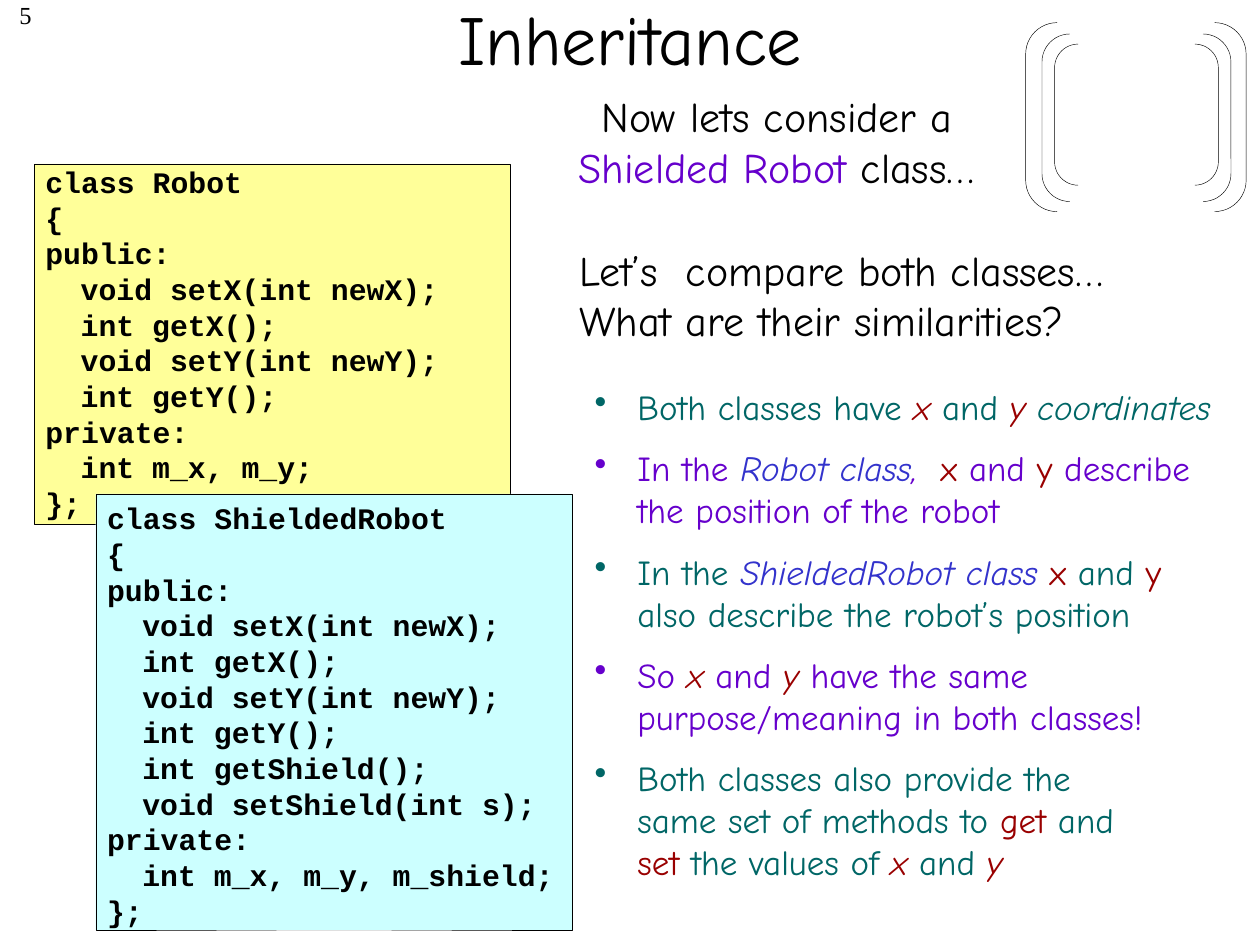
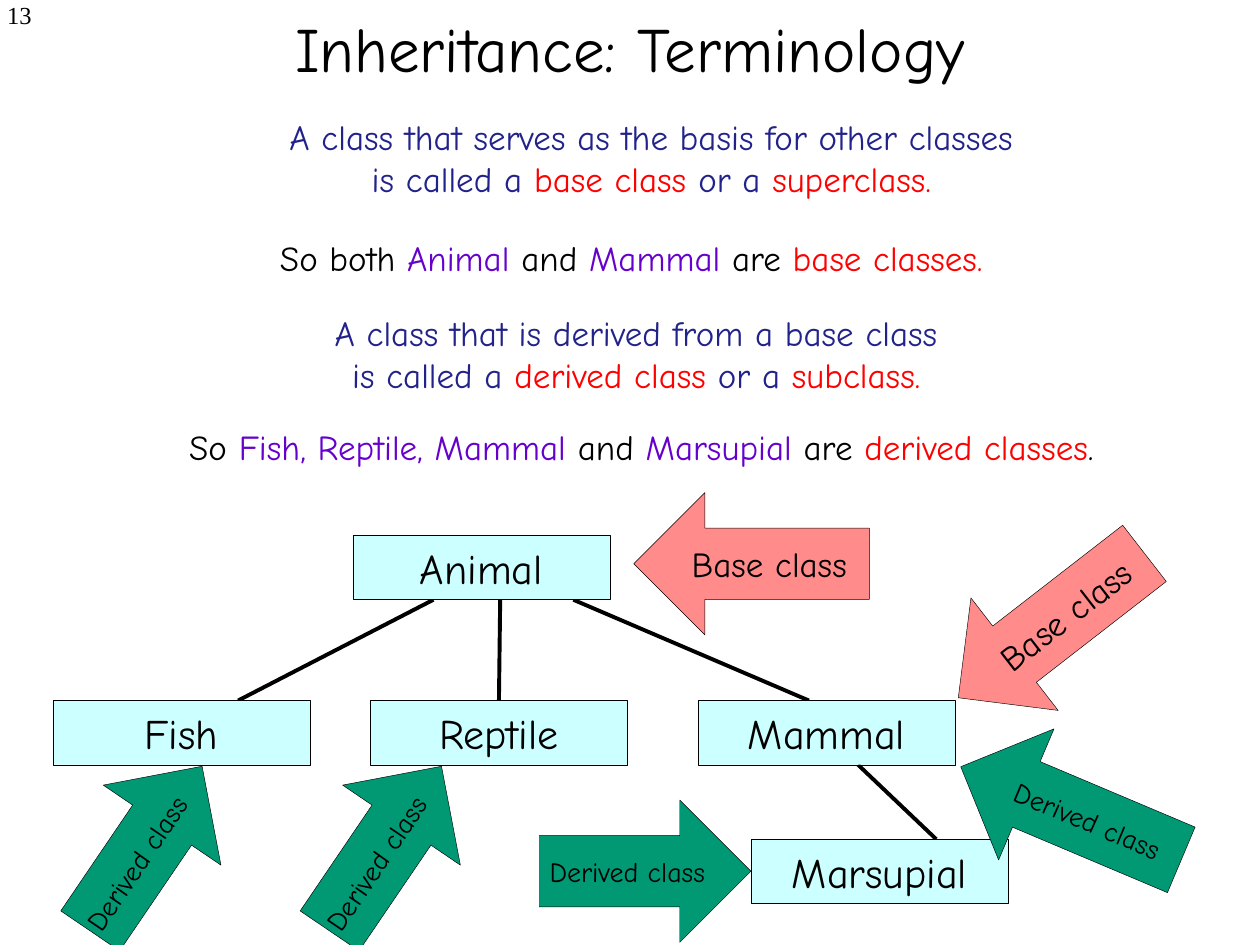
"""Build two slides on C++ inheritance: class comparison and terminology."""
from typing import NamedTuple

from lxml.etree import SubElement
from pptx import Presentation
from pptx.dml.color import RGBColor
from pptx.enum.shapes import MSO_CONNECTOR as Link, MSO_SHAPE as Form
from pptx.enum.text import MSO_ANCHOR as Anchor, MSO_AUTO_SIZE as Fit, PP_ALIGN as Align
from pptx.oxml.ns import qn
from pptx.util import Inches, Pt

COLORS = {
    "black": "000000", "purple": "6600CC", "teal": "006666", "maroon": "990000",
    "blue": "3333CC", "navy": "22228B", "red": "FF0000", "yellow": "FFFF99",
    "cyan": "CCFFFF", "pink": "FF8B8B", "green": "009973",
}
COMIC, MONO, SERIF = "Comic Neue", "Courier New", "Times New Roman"
BOX_W, BOX_H = 2.04, 0.51
BULLET_INDENT = 0.34
CODE_INDENT = 0.28


class Span(NamedTuple):
    text: str
    color: str = "black"
    italic: bool = False


class Area(NamedTuple):
    left: float
    top: float
    width: float
    height: float


class Arrow(NamedTuple):
    label: str
    area: Area
    form: Form
    rotation: float
    fill: str
    size: int


class Statement(NamedTuple):
    area: Area
    spans: list[Span]


class Code(NamedTuple):
    area: Area
    fill: str
    top_inset: float
    lines: list[str]


X, Y = Span("x", "maroon"), Span("y", "maroon")
X_IT, Y_IT = Span("x", "maroon", True), Span("y", "maroon", True)

ACCESSORS = ["  void setX(int newX);", "  int getX();", "  void setY(int newY);", "  int getY();"]
CODES = [
    Code(Area(0.27, 1.3, 3.78, 2.86), "yellow", 0,
         ["class Robot", "{", "public:", *ACCESSORS, "private:", "  int m_x, m_y;", "};"]),
    Code(Area(0.76, 3.92, 3.78, 3.46), "cyan", 0.05,
         ["class ShieldedRobot", "{", "public:", *ACCESSORS, "  int getShield();",
          "  void setShield(int s);", "private:", "  int m_x, m_y, m_shield;", "};"]),
]
SIMILARITIES = [
    [Span("Both classes have ", "teal"), X_IT, Span(" and ", "teal"), Y_IT,
     Span(" coordinates", "teal", True)],
    [Span("In the ", "purple"), Span("Robot class", "blue", True), Span(",  ", "purple", True),
     X, Span(" and ", "purple"), Y, Span(" describe\nthe position of the robot", "purple")],
    [Span("In the ", "teal"), Span("ShieldedRobot class ", "blue", True), X,
     Span(" and ", "teal"), Y, Span("\nalso describe the robot’s position", "teal")],
    [Span("So ", "purple"), X_IT, Span(" and ", "purple"), Y_IT,
     Span(" have the same\npurpose/meaning in both classes!", "purple")],
    [Span("Both classes also provide the\nsame set of methods to ", "teal"),
     Span("get", "maroon"), Span(" and\n", "teal"), Span("set", "maroon"),
     Span(" the values of ", "teal"), X_IT, Span(" and ", "teal"), Y_IT],
]
BRACKETS = [Area(8.27, 0.27, 1.5, 1.33), Area(8.37, 0.35, 1.3, 1.12), Area(8.14, 0.18, 1.75, 1.5)]

STATEMENTS = [
    Statement(Area(1.78, 0.87, 6.78, 0.77), [
        Span("A class that serves as the basis for other classes\nis called a ", "navy"),
        Span("base class ", "red"), Span("or a ", "navy"), Span("superclass.", "red")]),
    Statement(Area(1.94, 1.83, 6.14, 0.44), [
        Span("So both "), Span("Animal ", "purple"), Span("and "), Span("Mammal ", "purple"),
        Span("are "), Span("base classes.", "red")]),
    Statement(Area(0.5, 2.42, 9.1, 0.77), [
        Span("A class that is derived from a base class\nis called a ", "navy"),
        Span("derived class ", "red"), Span("or a ", "navy"), Span("subclass.", "red")]),
    Statement(Area(1.04, 3.33, 8.1, 0.44), [
        Span("So "), Span("Fish, Reptile, Mammal ", "purple"), Span("and "),
        Span("Marsupial ", "purple"), Span("are "), Span("derived classes", "red"), Span(".")]),
]
ANIMALS = {
    "Animal": (2.8, 4.25), "Fish": (0.42, 5.56), "Reptile": (2.94, 5.56),
    "Mammal": (5.54, 5.56), "Marsupial": (5.96, 6.66),
}
BRANCHES = {
    "Fish": (3.44, 4.76, 1.89, 5.56), "Reptile": (3.97, 4.76, 3.96, 5.56),
    "Mammal": (4.55, 4.76, 6.42, 5.56), "Marsupial": (6.81, 6.07, 7.43, 6.66),
}
ARROWS = [
    Arrow("Base class", Area(5.03, 3.91, 1.87, 1.13), Form.LEFT_ARROW, 0, "pink", 20),
    Arrow("Base class", Area(7.41, 4.4, 1.87, 1.13), Form.LEFT_ARROW, 322.2, "pink", 20),
    Arrow("Derived class", Area(4.28, 6.35, 1.68, 1.13), Form.RIGHT_ARROW, 0, "green", 16),
    Arrow("Derived class", Area(7.55, 5.89, 1.9, 1.13), Form.LEFT_ARROW, 22.9, "green", 16),
    Arrow("Derived class", Area(0.37, 6.17, 1.58, 1.13), Form.RIGHT_ARROW, 304.2, "green", 16),
    Arrow("Derived class", Area(2.27, 6.17, 1.58, 1.13), Form.RIGHT_ARROW, 304.2, "green", 16),
]


def rgb(color: str) -> RGBColor:
    return RGBColor.from_string(COLORS[color])


def apply(target, **values) -> None:
    for attribute, value in values.items():
        setattr(target, attribute, value)


def inches(area: Area) -> list:
    return [Inches(length) for length in area]


def write(paragraph, spans: list[Span], size: float, face: str = COMIC,
          align: Align = Align.LEFT, bold: bool = False) -> None:
    paragraph.alignment = align
    for span in spans:
        for index, piece in enumerate(span.text.split("\n")):
            if index:
                paragraph.add_line_break()
            if piece:
                run = paragraph.add_run()
                run.text = piece
                apply(run.font, name=face, size=Pt(size), bold=bold, italic=span.italic)
                run.font.color.rgb = rgb(span.color)


def paragraphs(frame, count: int) -> list:
    for _ in range(count - 1):
        frame.add_paragraph()
    return list(frame.paragraphs)


def add_text(slide, area: Area, wrap: bool = True):
    frame = slide.shapes.add_textbox(*inches(area)).text_frame
    frame.word_wrap = wrap
    return frame


def add_form(slide, form: Form, area: Area, fill: str | None = None):
    shape = slide.shapes.add_shape(form, *inches(area))
    shape.shadow.inherit = False
    if fill:
        shape.fill.solid()
        shape.fill.fore_color.rgb = rgb(fill)
    else:
        shape.fill.background()
    shape.line.color.rgb = rgb("black")
    shape.line.width = Pt(0.25)
    return shape


def add_label(shape, label: str, size: float) -> None:
    apply(shape.text_frame, word_wrap=False, vertical_anchor=Anchor.MIDDLE)
    write(shape.text_frame.paragraphs[0], [Span(label)], size, align=Align.CENTER)


def add_titled_slide(deck, number: str, title: str, top: float, size: float):
    slide = deck.slides.add_slide(deck.slide_layouts[5])
    heading = slide.shapes.title
    apply(heading, left=Inches(0.75), top=Inches(top), width=Inches(8.5), height=Inches(1.25))
    apply(heading.text_frame, word_wrap=True, auto_size=Fit.NONE, vertical_anchor=Anchor.MIDDLE)
    write(heading.text_frame.paragraphs[0], [Span(title)], size, align=Align.CENTER)
    page = add_text(slide, Area(0, 0, 0.35, 0.4))
    apply(page, margin_left=0, margin_top=0)
    write(page.paragraphs[0], [Span(number)], 14, SERIF, Align.RIGHT)
    return slide


def add_code(slide, code: Code) -> None:
    frame = add_form(slide, Form.RECTANGLE, code.area, code.fill).text_frame
    apply(frame, word_wrap=True, vertical_anchor=Anchor.TOP, margin_left=Inches(0.09),
          margin_right=0, margin_top=Inches(code.top_inset), margin_bottom=0)
    for paragraph, line in zip(paragraphs(frame, len(code.lines)), code.lines):
        paragraph.line_spacing = Pt(20.4)
        if line.startswith(" "):
            paragraph._p.get_or_add_pPr().set("marL", str(Inches(CODE_INDENT)))
        write(paragraph, [Span(line.strip())], 17, MONO, bold=True)


def add_similarities(slide) -> None:
    frame = add_text(slide, Area(4.62, 3.01, 5.38, 4.41))
    for index, spans in enumerate(SIMILARITIES):
        paragraph = frame.paragraphs[0] if index == 0 else frame.add_paragraph()
        paragraph.space_before = Pt(11 if index else 0)
        properties = paragraph._p.get_or_add_pPr()
        properties.set("marL", str(Inches(BULLET_INDENT)))
        properties.set("indent", str(-Inches(BULLET_INDENT)))
        SubElement(properties, qn("a:buChar")).set("char", "•")
        write(paragraph, spans, 20)


def add_branch(slide, ends: tuple):
    branch = slide.shapes.add_connector(Link.STRAIGHT, *[Inches(end) for end in ends])
    branch.line.color.rgb = rgb("black")
    branch.line.width = Pt(2.25)
    SubElement(branch._element.spPr, qn("a:effectLst"))
    return branch


def build_comparison(deck) -> None:
    slide = add_titled_slide(deck, "5", "Inheritance", -0.33, 40)
    intro = add_text(slide, Area(4.33, 0.67, 3.67, 0.91))
    write(intro.paragraphs[0],
          [Span("Now lets consider a "), Span("Shielded Robot", "purple"), Span(" class…")],
          24, align=Align.CENTER)
    question = add_text(slide, Area(4.5, 1.89, 5.17, 0.9))
    write(question.paragraphs[0],
          [Span("Let’s  compare both classes… What are their similarities?")], 24)
    add_similarities(slide)
    for bracket in BRACKETS:
        add_form(slide, Form.DOUBLE_BRACKET, bracket)
    for code in CODES:
        add_code(slide, code)


def build_terminology(deck) -> None:
    slide = add_titled_slide(deck, "13", "Inheritance: Terminology", -0.25, 36)
    for statement in STATEMENTS:
        frame = add_text(slide, statement.area, wrap=False)
        write(frame.paragraphs[0], statement.spans, 20, align=Align.CENTER)
    branches = {animal: add_branch(slide, ends) for animal, ends in BRANCHES.items()}
    for animal, corner in ANIMALS.items():
        box = add_form(slide, Form.RECTANGLE, Area(*corner, BOX_W, BOX_H), "cyan")
        add_label(box, animal, 24)
        if animal == "Reptile":
            branches[animal].end_connect(box, 0)
    for arrow in ARROWS:
        shape = add_form(slide, arrow.form, arrow.area, arrow.fill)
        shape.rotation = arrow.rotation
        add_label(shape, arrow.label, arrow.size)


def main() -> None:
    deck = Presentation()
    apply(deck, slide_width=Inches(10), slide_height=Inches(7.5))
    build_comparison(deck)
    build_terminology(deck)
    deck.save("out.pptx")


if __name__ == "__main__":
    main()
